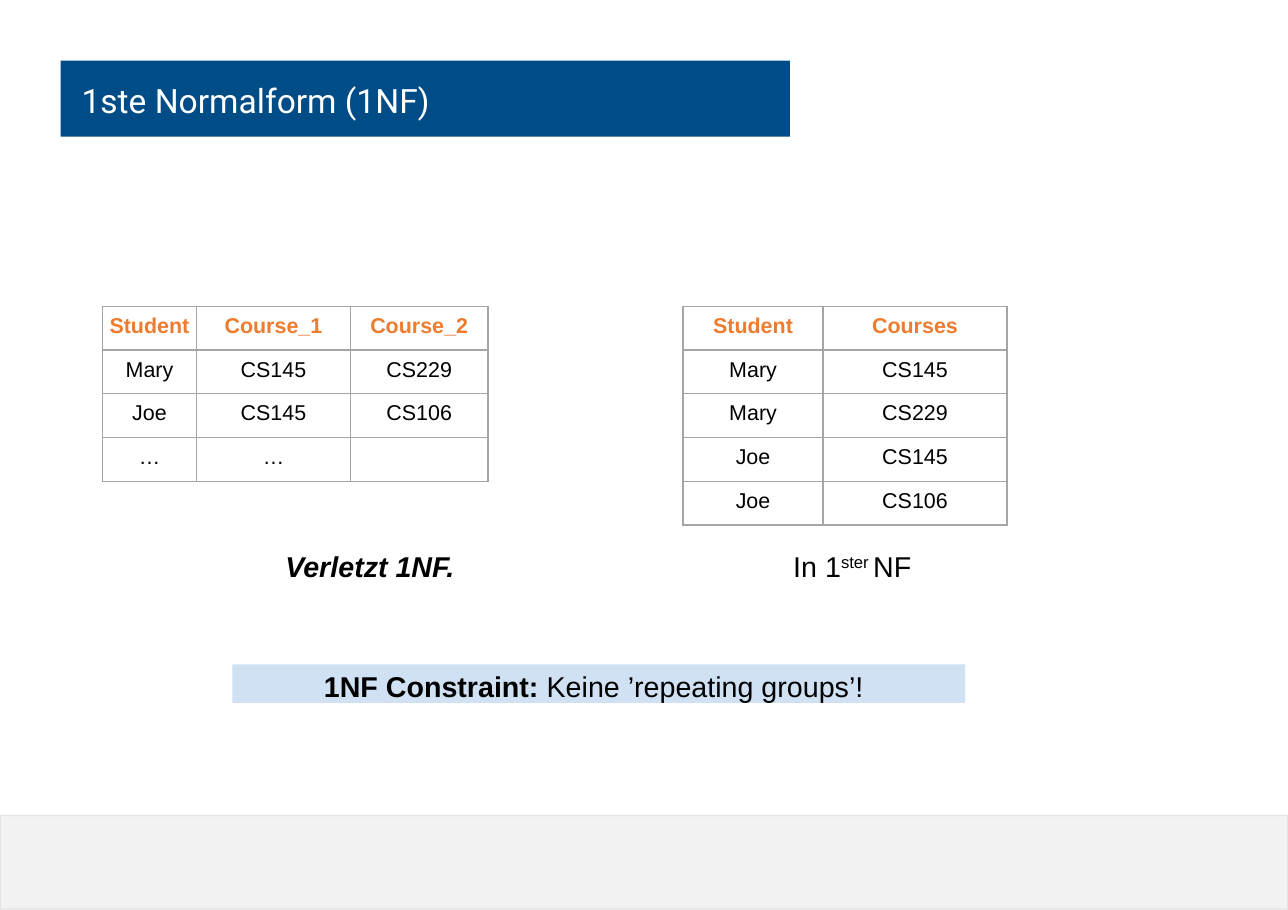
from dataclasses import dataclass
from typing import NamedTuple

from lxml.etree import SubElement
from pptx import Presentation
from pptx.dml.color import RGBColor
from pptx.enum.shapes import MSO_SHAPE
from pptx.enum.text import MSO_ANCHOR as Anchor, MSO_AUTO_SIZE as AutoSize, PP_ALIGN as Align
from pptx.oxml.ns import qn
from pptx.util import Inches, Length, Pt

WHITE = RGBColor(0xFF, 0xFF, 0xFF)
BLACK = RGBColor(0x00, 0x00, 0x00)
ORANGE = RGBColor(0xED, 0x7C, 0x31)
NAVY = RGBColor(0x00, 0x4C, 0x87)
PALE_BLUE = RGBColor(0xCF, 0xE1, 0xF2)
PALE_GRAY = RGBColor(0xF2, 0xF2, 0xF2)
SLATE = RGBColor(0x88, 0x91, 0x94)
BORDER_GRAY = RGBColor(0xA5, 0xA5, 0xA5)

SLIDE_W, SLIDE_H = Inches(11.69), Inches(8.26)
TABLE_TOP, ROW_H = 33.66, 4.81
CAPTION_TOP, CAPTION_H = 60.05, 4


def across(percent: float) -> Length:
    return Length(round(SLIDE_W * percent / 100))


def down(percent: float) -> Length:
    return Length(round(SLIDE_H * percent / 100))


class Area(NamedTuple):
    """Position and size in percent of the slide."""
    left: float
    top: float
    width: float
    height: float

    def emu(self) -> tuple[Length, Length, Length, Length]:
        return across(self.left), down(self.top), across(self.width), down(self.height)


class Piece(NamedTuple):
    text: str
    bold: bool = False
    italic: bool = False
    raised: bool = False


@dataclass
class Relation:
    left: float
    columns: list[float]
    rows: list[list[str]]


@dataclass
class Statement:
    area: Area
    pieces: list[Piece]
    indent: float = 0.02
    inset_top: float = 0.02
    fill: RGBColor | None = None


RELATIONS = [
    Relation(7.96, [7.3, 11.95, 10.68], [
        ["Student", "Course_1", "Course_2"],
        ["Mary", "CS145", "CS229"],
        ["Joe", "CS145", "CS106"],
        ["…", "…", ""],
    ]),
    Relation(53.04, [10.86, 14.29], [
        ["Student", "Courses"],
        ["Mary", "CS145"],
        ["Mary", "CS229"],
        ["Joe", "CS145"],
        ["Joe", "CS106"],
    ]),
]

STATEMENTS = [
    Statement(Area(21.98, CAPTION_TOP, 14.37, CAPTION_H),
              [Piece("Verletzt 1NF.", bold=True, italic=True)]),
    Statement(Area(61.42, CAPTION_TOP, 12.83, CAPTION_H),
              [Piece("In 1"), Piece("ster ", raised=True), Piece("NF")]),
    Statement(Area(18.05, 73, 56.89, 4.24),
              [Piece("1NF Constraint: ", bold=True), Piece("Keine ’repeating groups’!")],
              indent=0.83, inset_top=0.04, fill=PALE_BLUE),
]


def set_font(paragraph, name: str, size: float, color: RGBColor) -> None:
    font = paragraph.font
    font.name, font.size = name, Pt(size)
    font.color.rgb = color


def set_margins(target, left: float, top: float, right: float = 0, bottom: float = 0) -> None:
    target.margin_left, target.margin_top = Inches(left), Inches(top)
    target.margin_right, target.margin_bottom = Inches(right), Inches(bottom)


def add_borders(cell) -> None:
    properties = cell._tc.get_or_add_tcPr()
    for side in ("lnL", "lnR", "lnT", "lnB"):
        line = SubElement(properties, qn(f"a:{side}"), w=str(Pt(1)))
        SubElement(SubElement(line, qn("a:solidFill")), qn("a:srgbClr"), val=str(BORDER_GRAY))


def add_relation(slide, relation: Relation) -> None:
    area = Area(relation.left, TABLE_TOP, sum(relation.columns), ROW_H * len(relation.rows))
    table = slide.shapes.add_table(len(relation.rows), len(relation.columns), *area.emu()).table
    table.first_row = table.horz_banding = False
    for column, width in zip(table.columns, relation.columns):
        column.width = across(width)
    for i, (row, texts) in enumerate(zip(table.rows, relation.rows)):
        row.height = down(ROW_H)
        for cell, text in zip(row.cells, texts):
            add_borders(cell)
            cell.fill.background()
            set_margins(cell, 0, 0.07)
            cell.text = text
            paragraph = cell.text_frame.paragraphs[0]
            paragraph.alignment = Align.CENTER
            set_font(paragraph, "Arial", 14, BLACK if i else ORANGE)
            paragraph.font.bold = i == 0


def add_statement(slide, statement: Statement) -> None:
    box = slide.shapes.add_textbox(*statement.area.emu())
    if statement.fill is not None:
        box.fill.solid()
        box.fill.fore_color.rgb = statement.fill
    frame = box.text_frame
    frame.word_wrap = True
    set_margins(frame, statement.indent, statement.inset_top)
    paragraph = frame.paragraphs[0]
    set_font(paragraph, "Arial", 18.7, BLACK)
    for piece in statement.pieces:
        run = paragraph.add_run()
        run.text = piece.text
        run.font.bold, run.font.italic = piece.bold, piece.italic
        if piece.raised:
            run._r.get_or_add_rPr().set("baseline", "32000")


def add_footer_band(slide) -> None:
    band = slide.shapes.add_shape(MSO_SHAPE.RECTANGLE, *Area(0, 89.6, 100, 10.3).emu())
    band.shadow.inherit = False
    band.fill.solid()
    band.fill.fore_color.rgb = PALE_GRAY
    band.line.width = Pt(1)
    band.line.color.rgb = SLATE
    color = band.line._ln.find(qn("a:solidFill")).find(qn("a:srgbClr"))
    SubElement(color, qn("a:alpha"), val="15000")


def fill_title(slide, text: str) -> None:
    title = slide.shapes.title
    title.left, title.top, title.width, title.height = Area(4.7, 6.66, 56.63, 8.35).emu()
    title.fill.solid()
    title.fill.fore_color.rgb = NAVY
    frame = title.text_frame
    frame.text = text
    frame.auto_size = AutoSize.NONE
    frame.vertical_anchor = Anchor.MIDDLE
    set_margins(frame, 0.19, 0.18, 0.1, 0.1)
    paragraph = frame.paragraphs[0]
    paragraph.alignment = Align.LEFT
    paragraph.line_spacing = 0.9
    set_font(paragraph, "Roboto", 21.9, WHITE)


def main() -> None:
    deck = Presentation()
    deck.slide_width, deck.slide_height = SLIDE_W, SLIDE_H
    title_only = deck.slide_layouts[5]
    slide = deck.slides.add_slide(title_only)
    add_footer_band(slide)
    fill_title(slide, "1ste Normalform (1NF)")
    for relation in RELATIONS:
        add_relation(slide, relation)
    for statement in STATEMENTS:
        add_statement(slide, statement)
    deck.save("out.pptx")


if __name__ == "__main__":
    main()
